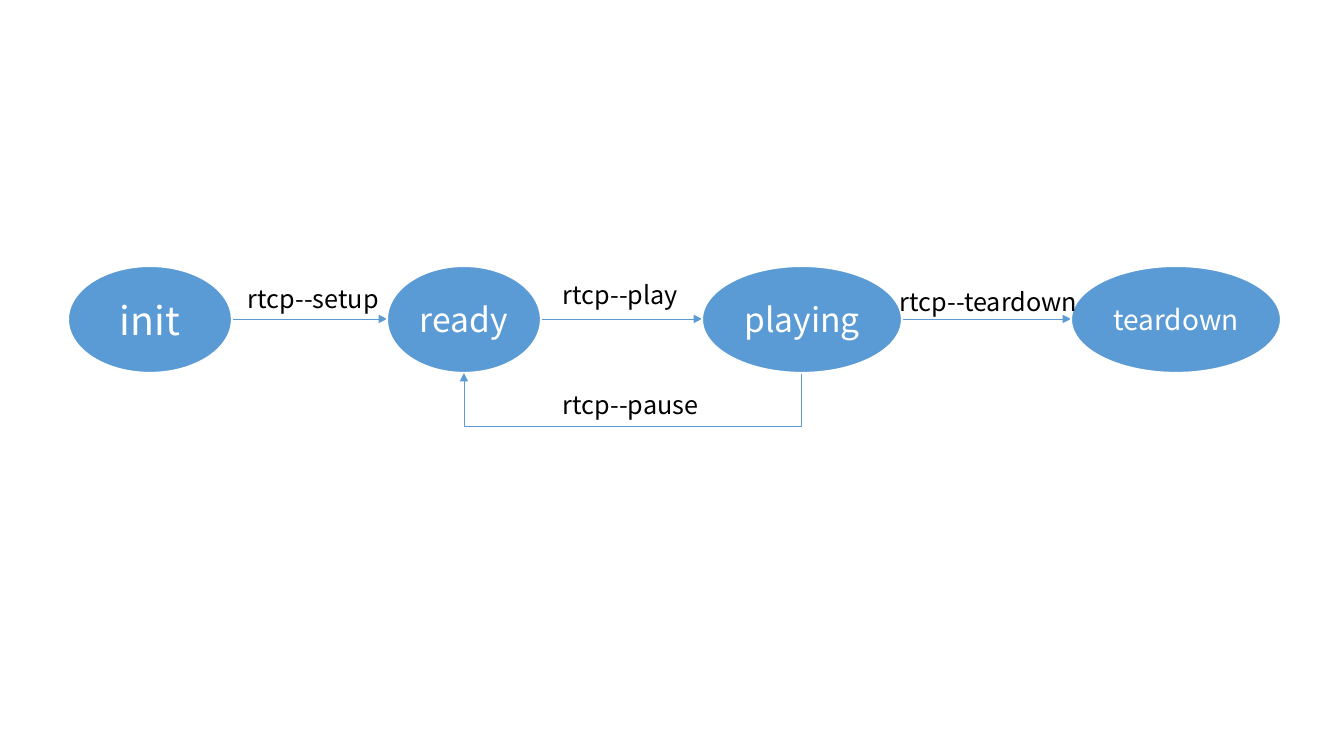
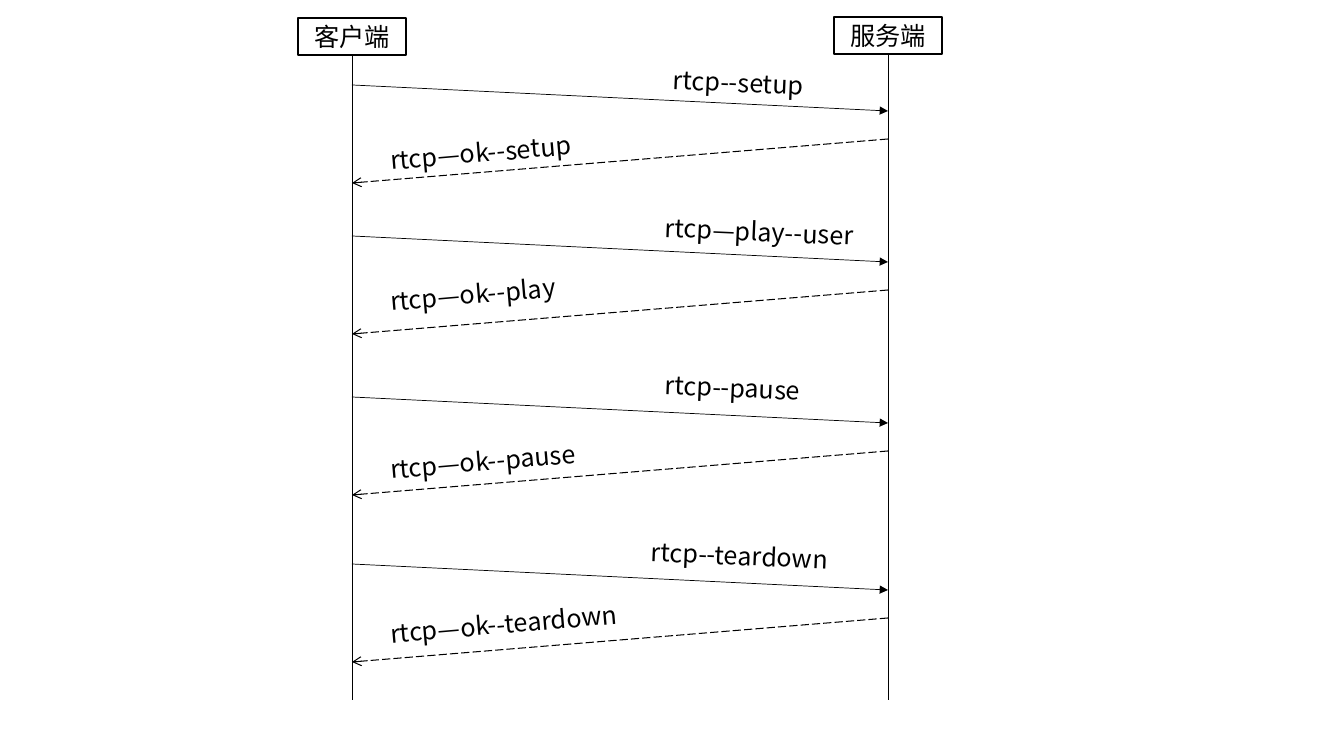
"""Build an RTCP state diagram and the matching client-server sequence diagram."""
from lxml.etree import SubElement
from pptx import Presentation
from pptx.dml.color import RGBColor
from pptx.enum.dml import MSO_LINE as DASH
from pptx.enum.shapes import MSO_CONNECTOR as LINK, MSO_SHAPE as SHAPE
from pptx.enum.text import MSO_AUTO_SIZE as FIT, PP_ALIGN as ALIGN
from pptx.oxml.ns import qn
from pptx.util import Pt

PX = 9071
BLUE, WHITE, BLACK = (RGBColor.from_string(c) for c in ("5B9BD5", "FFFFFF", "000000"))
FONT = "Noto Sans CJK SC"


def write(shape, text, size, color, align=ALIGN.LEFT):
    shape.text_frame.word_wrap = True
    paragraph = shape.text_frame.paragraphs[0]
    paragraph.alignment = align
    run = paragraph.add_run()
    run.text = text
    for key, value in {"size": Pt(size), "name": FONT}.items():
        setattr(run.font, key, value)
    run.font.color.rgb = color
    SubElement(run.font._element, qn("a:ea"), typeface=FONT)


def link(slide, points, color, head=None, kind=LINK.STRAIGHT, width=0.5, dash=None):
    line = slide.shapes.add_connector(kind, *(p * PX for p in points))
    line.line.color.rgb = color
    for key, value in {"width": Pt(width), "dash_style": dash}.items():
        setattr(line.line, key, value)
    if head:
        SubElement(line.line._get_or_add_ln(), qn("a:tailEnd"), type=head)
    SubElement(line._element.spPr, qn("a:effectLst"))
    return line


deck = Presentation()
deck.slide_width, deck.slide_height = 1344 * PX, 756 * PX
states, sequence = (deck.slides.add_slide(deck.slide_layouts[6]) for _ in range(2))

for start, end in [(232, 387), (541, 702), (901, 1071)]:
    link(states, (start, 319, end, 319), BLUE, "triangle")

for state, left, width, size in [
    ("init", 68, 164, 28),
    ("ready", 387, 154, 24),
    ("playing", 702, 200, 24),
    ("teardown", 1071, 210, 20),
]:
    oval = states.shapes.add_shape(
        SHAPE.FLOWCHART_CONNECTOR, left * PX, 266 * PX, width * PX, 107 * PX)
    oval.shadow.inherit = False
    oval.fill.solid()
    oval.fill.fore_color.rgb = BLUE
    oval.line.color.rgb = WHITE
    oval.line.width = Pt(1.5)
    write(oval, state, size, WHITE, ALIGN.CENTER)

pause = link(states, (633, 205, 632, 542), BLUE, "triangle", LINK.ELBOW)
pause._element.spPr.find(qn("a:xfrm")).set("rot", str(90 * 60000))
bend = pause._element.spPr.find(qn("a:prstGeom")).find(qn("a:avLst"))
SubElement(bend, qn("a:gd"), name="adj1", fmla="val -5300000")

CLIENT, SERVER = 352, 888
for party, axis, top in [("客户端", CLIENT, 18), ("服务端", SERVER, 17)]:
    box = sequence.shapes.add_shape(
        SHAPE.FLOWCHART_PROCESS, (axis - 54) * PX, top * PX, 108 * PX, 37 * PX)
    box.shadow.inherit = False
    box.fill.background()
    box.line.color.rgb = BLACK
    box.line.width = Pt(1)
    write(box, party, 18, BLACK, ALIGN.CENTER)
    link(sequence, (axis, top + 37, axis, 700), BLACK)

for sent in (85, 236, 397, 564):
    link(sequence, (CLIENT, sent, SERVER, sent + 26), BLACK, "triangle")
    link(sequence, (SERVER, sent + 54, CLIENT, sent + 98), BLACK, "arrow",
         width=0.75, dash=DASH.LONG_DASH)

REQUEST, REPLY = 2.5, 355.1
for slide, message, left, top, width, angle in [
    (states, "rtcp--play", 553, 274, 166, 0),
    (states, "rtcp--setup", 238, 278, 166, 0),
    (states, "rtcp--teardown", 890, 281, 198, 0),
    (states, "rtcp--pause", 553, 384, 166, 0),
    (sequence, "rtcp--setup", 663, 63, 198, REQUEST),
    (sequence, "rtcp—play--user", 655, 212, 251, REQUEST),
    (sequence, "rtcp--pause", 655, 368, 198, REQUEST),
    (sequence, "rtcp--teardown", 641, 535, 198, REQUEST),
    (sequence, "rtcp—ok--setup", 380, 131, 228, REPLY),
    (sequence, "rtcp—ok--play", 380, 272, 228, REPLY),
    (sequence, "rtcp—ok--pause", 380, 440, 228, REPLY),
    (sequence, "rtcp—ok--teardown", 380, 603, 259, REPLY),
]:
    label = slide.shapes.add_textbox(left * PX, top * PX, width * PX, 40 * PX)
    label.rotation = angle
    label.text_frame.auto_size = FIT.SHAPE_TO_FIT_TEXT
    write(label, message, 18, BLACK)

deck.save("out.pptx")
